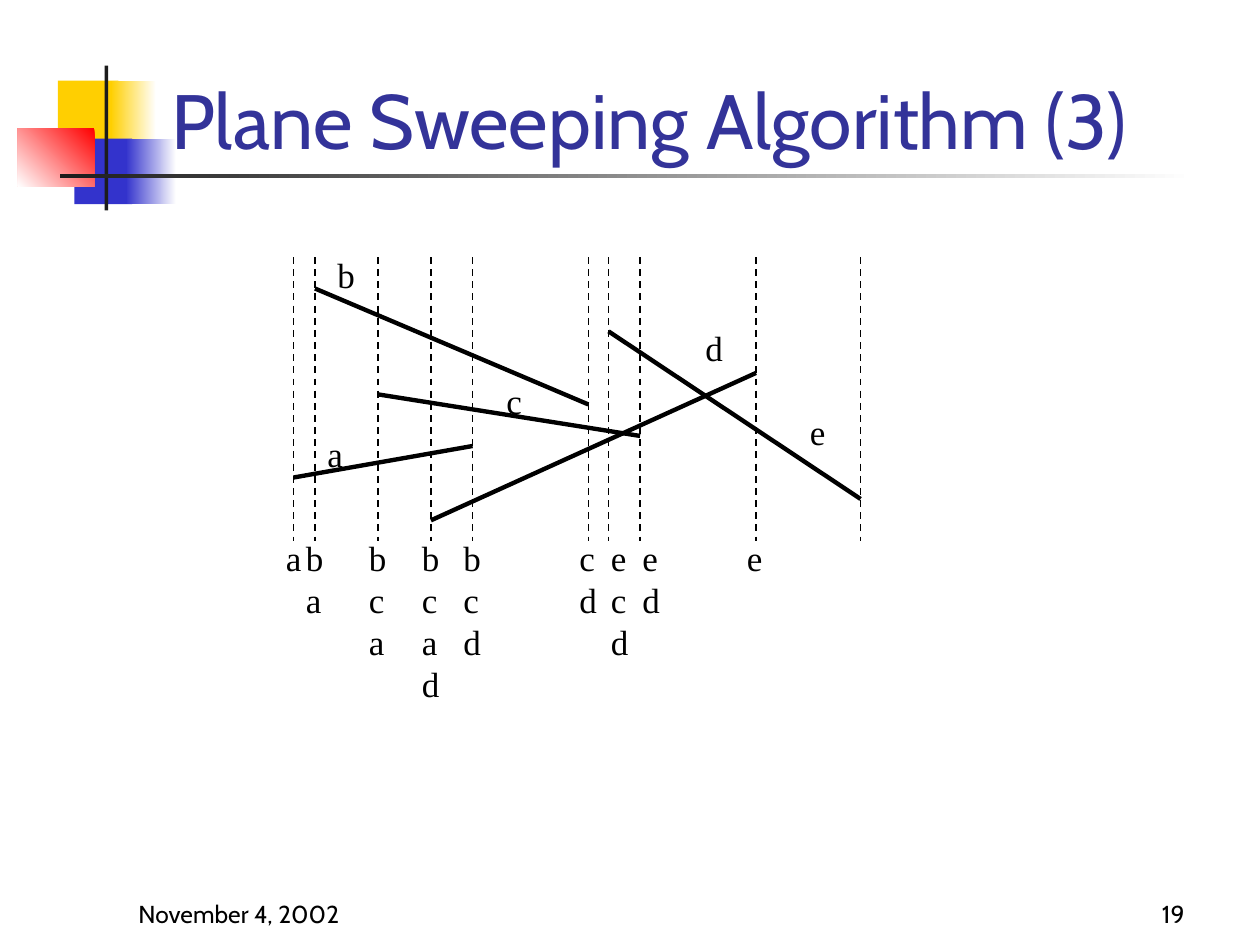
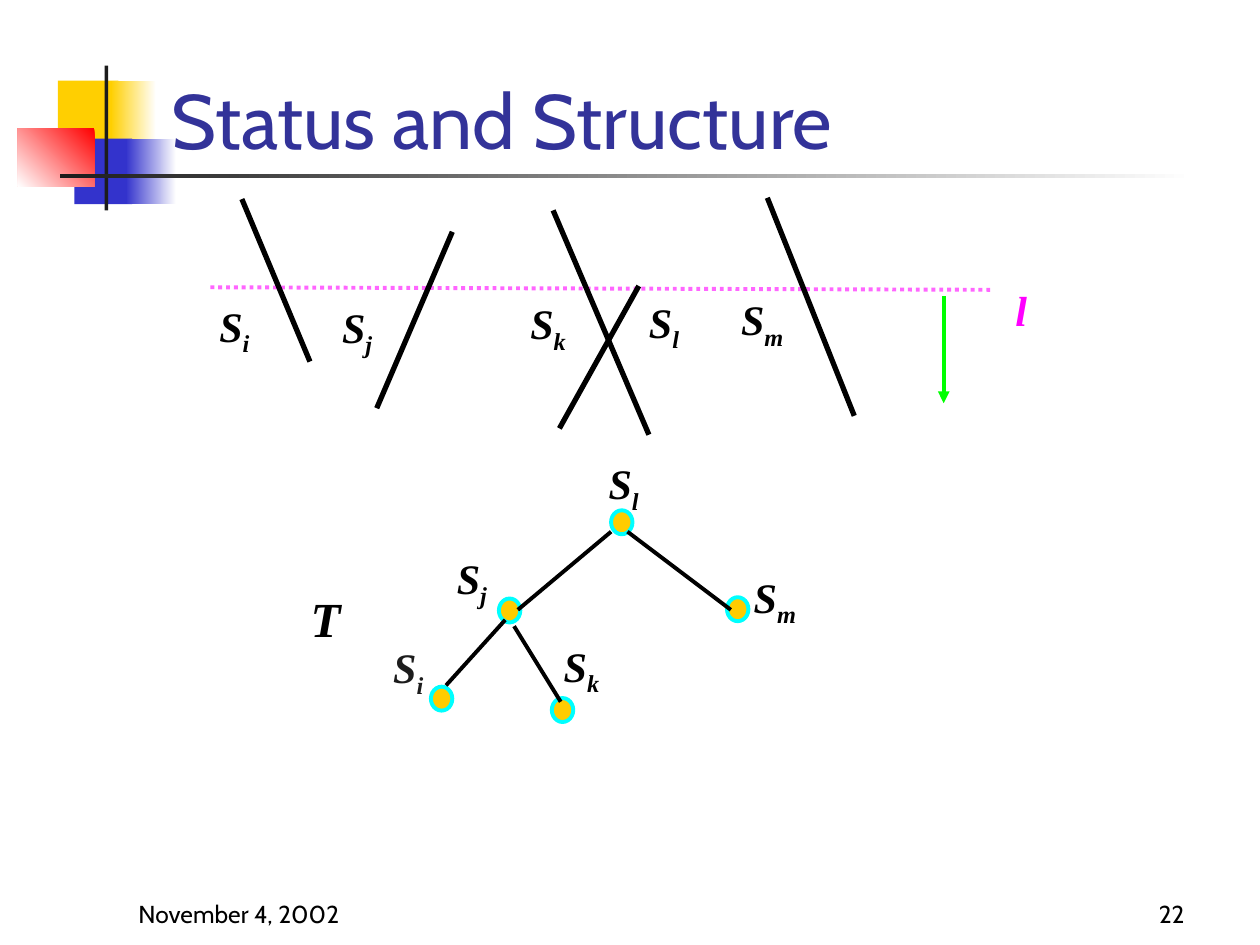
import pptx
import pptx.dml.color
import pptx.enum.dml
import pptx.enum.shapes
import pptx.enum.text
import pptx.oxml
import pptx.oxml.ns
import pptx.util

Inches = pptx.util.Inches
Pt = pptx.util.Pt
ALIGN = pptx.enum.text.PP_ALIGN
ANCHOR = pptx.enum.text.MSO_ANCHOR
DASH = pptx.enum.dml.MSO_LINE
SHAPE = pptx.enum.shapes.MSO_SHAPE

BLACK, WHITE, CHARCOAL = "000000", "FFFFFF", "1C1C1C"
YELLOW, BLUE, RED, TITLE_BLUE = "FFCF01", "3333CC", "FF0000", "333399"
SWEEP_PINK, LABEL_PINK, GREEN = "FF66FF", "FF00FF", "00FF00"
NODE_FILL, NODE_LINE = "FFCC00", "00FFFF"

TITLE_FONT = {"name": "Cabin", "size": Pt(44), "color": TITLE_BLUE}
FOOTER_FONT = {"name": "Cabin", "size": Pt(14), "color": BLACK}
LETTER_FONT = {"name": "Times New Roman", "size": Pt(20), "color": BLACK}
SYMBOL_FONT = {"name": "Times New Roman", "size": Pt(24), "color": BLACK,
               "bold": True, "italic": True}

# left, top, width, height, start colour, end colour, angle
DECORATION = [
    (0.46, 0.64, 0.48, 0.52, YELLOW, None, 0),
    (0.88, 0.64, 0.36, 0.52, WHITE, YELLOW, 180),
    (0.59, 1.10, 0.46, 0.52, BLUE, None, 0),
    (1.00, 1.10, 0.40, 0.52, WHITE, BLUE, 180),
    (0.14, 1.02, 0.61, 0.46, RED, WHITE, 225),
    (0.83, 0.52, 0.03, 1.15, CHARCOAL, None, 0),
    (0.48, 1.38, 9.00, 0.03, WHITE, CHARCOAL, 180),
]

# event position, left of its status column, status from top to bottom
SWEEP_EVENTS = [
    (2.33, 2.17, "a"), (2.50, 2.33, "ba"), (3.00, 2.83, "bca"),
    (3.42, 3.25, "bcad"), (3.75, 3.58, "bcd"), (4.67, 4.50, "cd"),
    (4.83, 4.75, "ecd"), (5.08, 5.00, "ed"), (6.00, 5.83, "e"),
    (6.83, 6.66, ""),
]
# name, start, end, label position
SWEPT_SEGMENTS = [
    ("b", (2.50, 2.29), (4.67, 3.21), (2.58, 1.96)),
    ("c", (3.00, 3.13), (5.08, 3.46), (3.92, 2.96)),
    ("d", (3.42, 4.13), (6.00, 2.96), (5.50, 2.54)),
    ("e", (4.83, 2.63), (6.83, 3.96), (6.33, 3.21)),
    ("a", (2.33, 3.79), (3.75, 3.54), (2.50, 3.38)),
]

# subscript, start, end, label box
STATUS_SEGMENTS = [
    ("i", (1.92, 1.58), (2.46, 2.87), (1.64, 2.33, 0.44, 0.56)),
    ("j", (2.99, 3.24), (3.59, 1.84), (2.61, 2.34, 0.45, 0.56)),
    ("k", (4.39, 1.67), (5.15, 3.45), (4.10, 2.31, 0.50, 0.56)),
    ("l", (5.07, 2.27), (4.44, 3.40), (5.05, 2.30, 0.44, 0.56)),
    ("m", (6.78, 3.30), (6.09, 1.57), (5.70, 2.28, 0.70, 0.56)),
]
# subscript, node position, label box, label colour
TREE_NODES = [
    ("l", (4.85, 4.05), (4.70, 3.58, 0.50, 0.56), BLACK),
    ("j", (3.96, 4.75), (3.52, 4.33, 0.45, 0.56), BLACK),
    ("m", (5.77, 4.74), (5.80, 4.48, 0.70, 0.56), BLACK),
    ("i", (3.42, 5.45), (3.02, 5.04, 0.44, 0.56), CHARCOAL),
    ("k", (4.38, 5.54), (4.34, 5.03, 0.55, 0.56), BLACK),
]
TREE_EDGES = [
    ((4.85, 4.22), (4.11, 4.84)), ((4.98, 4.22), (5.80, 4.84)),
    ((4.01, 4.92), (3.54, 5.44)), ((4.08, 4.97), (4.45, 5.57)),
]


def rgb(color):
    return pptx.dml.color.RGBColor.from_string(color)


def format_font(font, style):
    for attribute, value in style.items():
        if attribute == "color":
            font.color.rgb = rgb(value)
        else:
            setattr(font, attribute, value)


def add_text(slide, box, text, style, align=ALIGN.LEFT, anchor=ANCHOR.TOP,
             wrap=True, subscript=""):
    frame = slide.shapes.add_textbox(*map(Inches, box)).text_frame
    frame.word_wrap = wrap
    frame.vertical_anchor = anchor
    paragraph = frame.paragraphs[0]
    paragraph.alignment = align
    paragraph.text = text
    if subscript:
        run = paragraph.add_run()
        run.text = subscript
        run._r.get_or_add_rPr().set("baseline", "-25000")
    for run in paragraph.runs:
        format_font(run.font, style)


def add_symbol(slide, box, text, subscript="", **changes):
    add_text(slide, box, text, {**SYMBOL_FONT, **changes}, ALIGN.CENTER,
             ANCHOR.MIDDLE, wrap=False, subscript=subscript)


def add_line(slide, start, end, width, color=BLACK, dash=None, arrow=False):
    connector = slide.shapes.add_connector(
        pptx.enum.shapes.MSO_CONNECTOR.STRAIGHT, *map(Inches, start + end))
    connector.line.color.rgb = rgb(color)
    connector.line.width = Pt(width)
    if dash:
        connector.line.dash_style = dash
    properties = connector.element.spPr
    if arrow:
        head = pptx.oxml.parse_xml(
            f'<a:tailEnd {pptx.oxml.ns.nsdecls("a")} type="triangle"/>')
        properties.get_or_add_ln().append(head)
    properties.append(pptx.oxml.parse_xml(
        f'<a:effectLst {pptx.oxml.ns.nsdecls("a")}/>'))


def add_shape(slide, kind, box):
    shape = slide.shapes.add_shape(kind, *map(Inches, box))
    shape.shadow.inherit = False
    return shape


def add_decoration(slide):
    for *box, start, end, angle in DECORATION:
        shape = add_shape(slide, SHAPE.RECTANGLE, box)
        shape.line.fill.background()
        if end is None:
            shape.fill.solid()
            shape.fill.fore_color.rgb = rgb(start)
            continue
        shape.fill.gradient()
        shape.fill.gradient_angle = angle
        for stop, color in zip(shape.fill.gradient_stops, (start, end)):
            stop.color.rgb = rgb(color)


def add_node(slide, position):
    node = add_shape(slide, SHAPE.OVAL, position + (0.17, 0.19))
    node.fill.solid()
    node.fill.fore_color.rgb = rgb(NODE_FILL)
    node.line.color.rgb = rgb(NODE_LINE)
    node.line.width = Pt(2.25)


def add_title(slide, text):
    title = slide.shapes.title
    box = {"left": 1.26, "top": 0.11, "width": 8.52, "height": 1.25}
    for attribute, value in box.items():
        setattr(title, attribute, Inches(value))
    frame = title.text_frame
    frame.text = text
    frame.vertical_anchor = ANCHOR.BOTTOM
    frame.auto_size = pptx.enum.text.MSO_AUTO_SIZE.NONE
    frame.paragraphs[0].alignment = ALIGN.LEFT
    format_font(frame.paragraphs[0].runs[0].font, TITLE_FONT)
    # Bring the title in front of the decoration
    title.element.getparent().append(title.element)


def add_slide(presentation, title, number):
    """Add a slide with the shared decoration, title and footer."""
    slide = presentation.slides.add_slide(presentation.slide_layouts[5])
    add_decoration(slide)
    add_title(slide, title)
    for left, text, align in ((1, "November 4, 2002", ALIGN.LEFT),
                              (7.42, str(number), ALIGN.RIGHT)):
        add_text(slide, (left, 6.92, 2.08, 0.5), text, FOOTER_FONT, align,
                 ANCHOR.BOTTOM)
    return slide


def draw_sweep(slide):
    for name, start, end, label in SWEPT_SEGMENTS:
        add_line(slide, start, end, 2.5)
        add_text(slide, label + (0.33, 0.44), name, LETTER_FONT)
    for x, left, status in SWEEP_EVENTS:
        add_line(slide, (x, 2.04), (x, 4.29), 1, dash=DASH.DASH)
        if status:
            height = 0.44 + 0.33 * (len(status) - 1)
            add_text(slide, (left, 4.21, 0.42, height), "\v".join(status),
                     LETTER_FONT)


def draw_status(slide):
    add_line(slide, (1.67, 2.28), (7.86, 2.30), 2.25, SWEEP_PINK,
             DASH.ROUND_DOT)
    add_line(slide, (7.49, 2.35), (7.49, 3.20), 2.25, GREEN, arrow=True)
    add_symbol(slide, (7.96, 2.21, 0.29, 0.5), "l", color=LABEL_PINK)
    for name, start, end, label in STATUS_SEGMENTS:
        add_line(slide, start, end, 3)
        add_symbol(slide, label, "S", name)


def draw_tree(slide):
    for name, position, label, color in TREE_NODES:
        add_node(slide, position)
        add_symbol(slide, label, "S", name, color=color)
    for start, end in TREE_EDGES:
        add_line(slide, start, end, 2.25)
    add_symbol(slide, (2.26, 4.62, 0.65, 0.57), "T", size=Pt(28))


def main():
    presentation = pptx.Presentation()
    presentation.slide_width = Inches(10)
    presentation.slide_height = Inches(7.5)
    draw_sweep(add_slide(presentation, "Plane Sweeping Algorithm (3)", 19))
    structure = add_slide(presentation, "Status and Structure", 22)
    draw_status(structure)
    draw_tree(structure)
    presentation.save("out.pptx")


if __name__ == "__main__":
    main()
